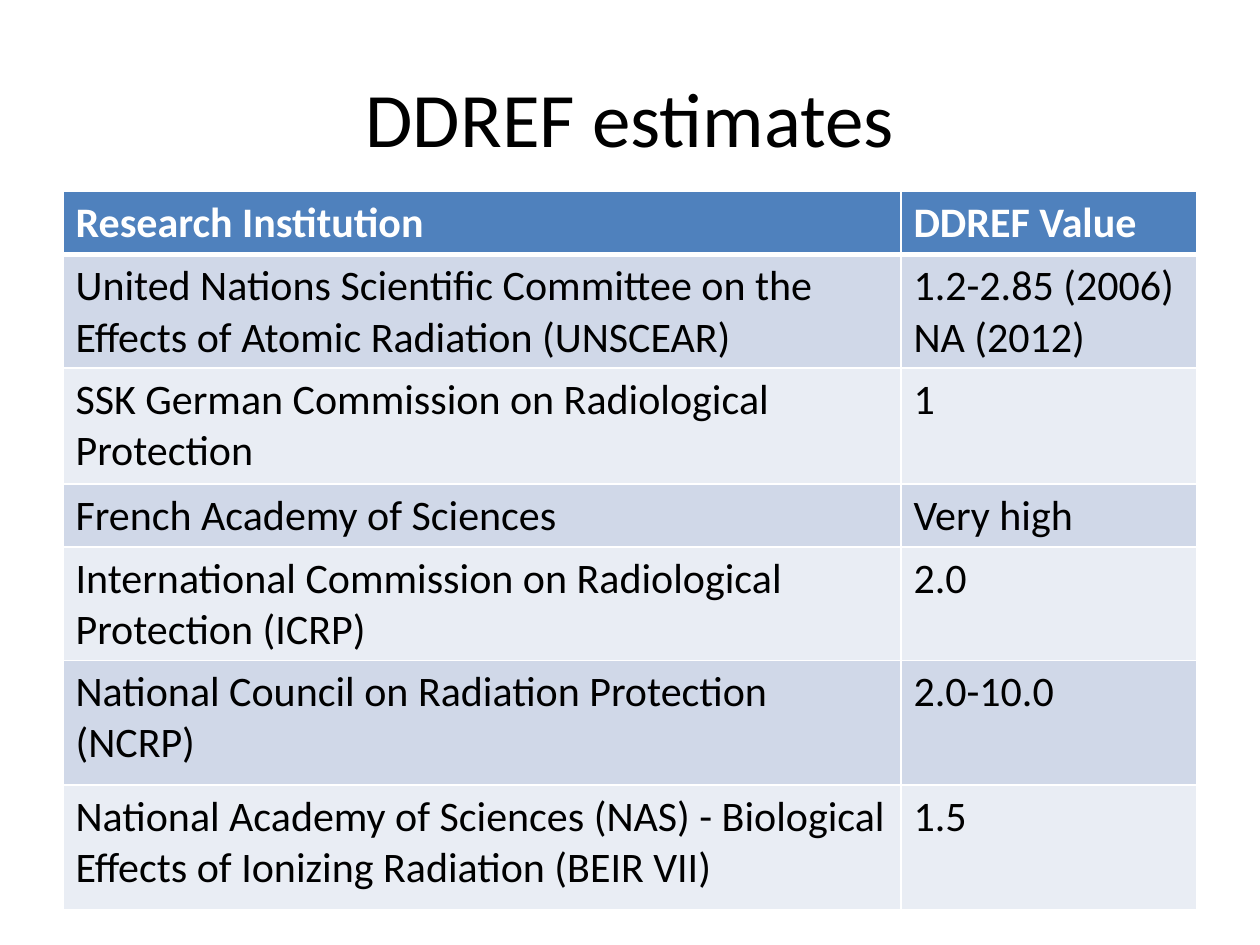
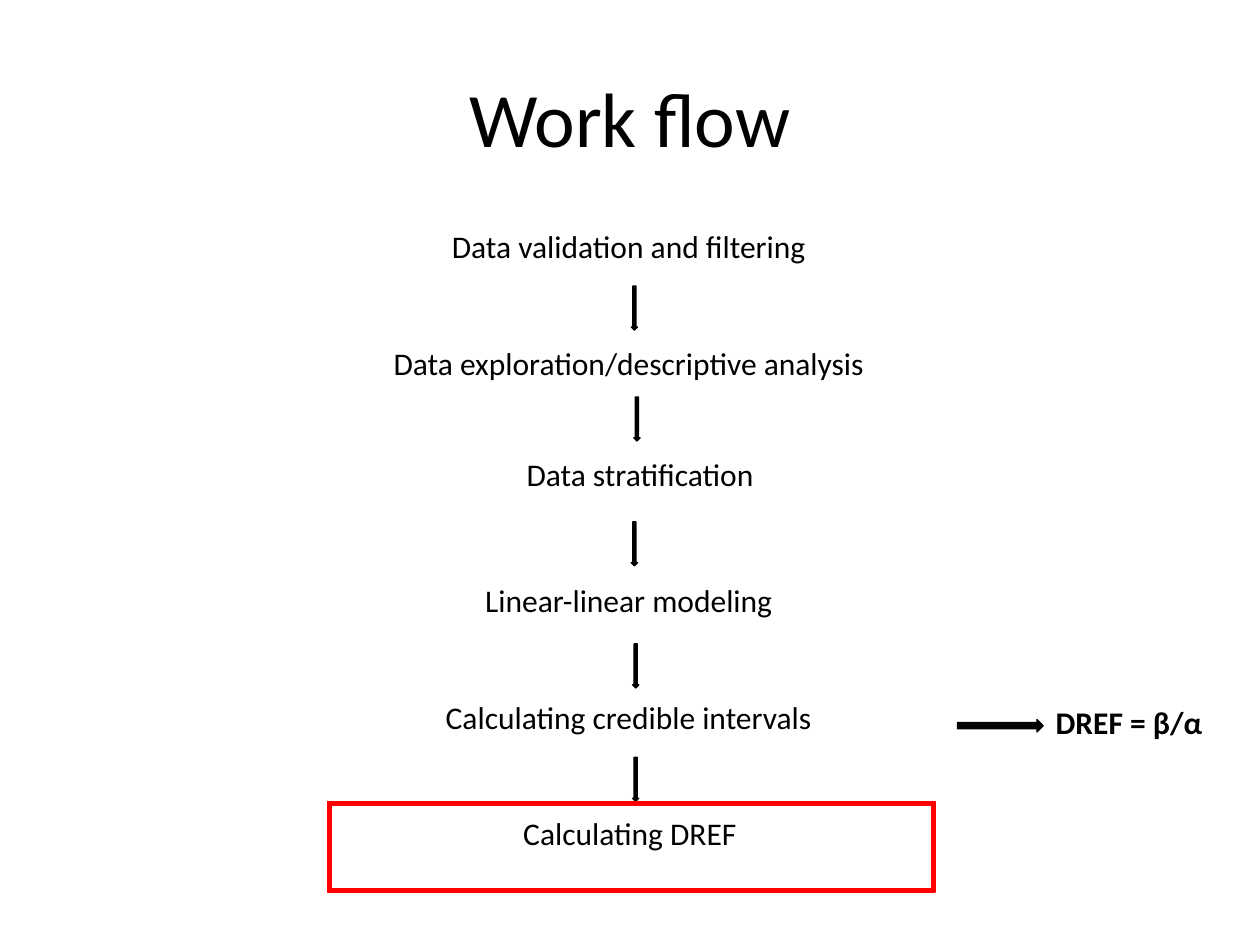
from lxml.etree import SubElement
from pptx import Presentation
from pptx.dml.color import RGBColor
from pptx.enum.shapes import MSO_SHAPE as Shape
from pptx.enum.text import MSO_ANCHOR as Anchor, PP_ALIGN as Align
from pptx.oxml.ns import qn
from pptx.util import Inches, Pt

BLACK = RGBColor(0x00, 0x00, 0x00)
WHITE = RGBColor(0xFF, 0xFF, 0xFF)
RED = RGBColor(0xFF, 0x00, 0x00)
HEADER_BLUE = RGBColor(0x4F, 0x81, 0xBD)
BAND_DARK = RGBColor(0xD0, 0xD8, 0xE8)
BAND_LIGHT = RGBColor(0xE9, 0xED, 0xF4)
FONT = "Calibri"

TITLE_BOX = (0.5, 0.3, 9, 1.25)
TABLE_BOX = (0.5, 1.52, 9, 5.7)
FLOW_BOX = (1.94, 1.75, 6.1, 5.33)

COLUMN_WIDTHS = (6.65, 2.35)
ROW_HEIGHTS = (0.41, 0.74, 0.92, 0.41, 0.74, 0.99, 0.99)
ESTIMATES = (
    ("Research Institution", "DDREF Value"),
    ("United Nations Scientific Committee on the Effects of Atomic Radiation (UNSCEAR)",
     "1.2-2.85 (2006)\nNA (2012)"),
    ("SSK German Commission on Radiological Protection", "1"),
    ("French Academy of Sciences", "Very high"),
    ("International Commission on Radiological Protection (ICRP)", "2.0"),
    ("National Council on Radiation Protection (NCRP)", "2.0-10.0"),
    ("National Academy of Sciences (NAS) - Biological Effects of Ionizing Radiation (BEIR VII)",
     "1.5"),
)

STEPS = (
    ("Data validation and filtering", 0, 0),
    ("Data exploration/descriptive analysis", 0, 0.93),
    ("Data stratification", 0.09, 1.81),
    ("Linear-linear modeling", 0, 2.81),
    ("Calculating credible intervals", 0, 3.74),
    ("Calculating DREF", 0.01, 4.66),
)
STEP_ARROWS = ((3.07, 0.52), (3.09, 1.4), (3.07, 2.39), (3.08, 3.36), (3.08, 4.26))


def format_text(frame, size, color=BLACK, bold=False, align=Align.LEFT):
    for para in frame.paragraphs:
        para.alignment = align
        for span in para.runs:
            span.font.name = FONT
            span.font.size = Pt(size)
            span.font.bold = bold
            span.font.color.rgb = color


def add_text(page, box, text, size, **style):
    label = page.shapes.add_textbox(*map(Inches, box))
    frame = label.text_frame
    frame.word_wrap = True
    frame.text = text
    format_text(frame, size, **style)
    return frame


def add_solid(page, kind, box, color):
    shape = page.shapes.add_shape(kind, *map(Inches, box))
    shape.shadow.inherit = False
    shape.fill.solid()
    shape.fill.fore_color.rgb = color
    shape.line.color.rgb = color
    shape.line.width = Pt(0.75)
    return shape


def add_title(page, text):
    frame = add_text(page, TITLE_BOX, text, 44, align=Align.CENTER)
    frame.vertical_anchor = Anchor.MIDDLE


def set_borders(cell, widths):
    properties = cell._tc.get_or_add_tcPr()
    for side, width in widths.items():
        line = SubElement(properties, qn(f"a:ln{side}"), w=str(Pt(width)))
        fill = SubElement(line, qn("a:solidFill"))
        SubElement(fill, qn("a:srgbClr"), val=str(WHITE))


def add_estimates(page, box):
    table = page.shapes.add_table(len(ESTIMATES), len(COLUMN_WIDTHS), *map(Inches, box)).table
    for column, width in zip(table.columns, COLUMN_WIDTHS):
        column.width = Inches(width)
    for index, (row, height, texts) in enumerate(zip(table.rows, ROW_HEIGHTS, ESTIMATES)):
        row.height = Inches(height)
        header = index == 0
        band = HEADER_BLUE if header else (BAND_LIGHT, BAND_DARK)[index % 2]
        borders = {"L": 1, "R": 1, "T": 3 if index == 1 else 1, "B": 3 if header else 1}
        for cell, text in zip(row.cells, texts):
            cell.text_frame.text = text
            format_text(cell.text_frame, 24, WHITE if header else BLACK, header)
            set_borders(cell, borders)
            cell.fill.solid()
            cell.fill.fore_color.rgb = band


def add_flow(page, box):
    left, top, width, height = box
    for text, x, y in STEPS:
        add_text(page, (left + x, top + y, width, 0.4), text, 18, align=Align.CENTER)
    for x, y in STEP_ARROWS:
        add_solid(page, Shape.DOWN_ARROW, (left + x, top + y, 0.05, 0.35), BLACK)
    highlight = add_solid(page, Shape.FRAME, (left + 0.66, top + height - 0.72, 4.82, 0.72), RED)
    highlight.adjustments[0] = 0.039
    add_text(page, (left + 6.34, top + 3.78, 1.5, 0.4), "DREF = β/α", 18, bold=True)
    add_solid(page, Shape.RIGHT_ARROW, (left + 5.66, top + 3.96, 0.68, 0.1), BLACK)


def main():
    deck = Presentation()
    deck.slide_width, deck.slide_height = Inches(10), Inches(7.5)
    for title, add_body, box in (
        ("DDREF estimates", add_estimates, TABLE_BOX),
        ("Work flow", add_flow, FLOW_BOX),
    ):
        page = deck.slides.add_slide(deck.slide_layouts[6])
        add_title(page, title)
        add_body(page, box)
    deck.save("out.pptx")


if __name__ == "__main__":
    main()
